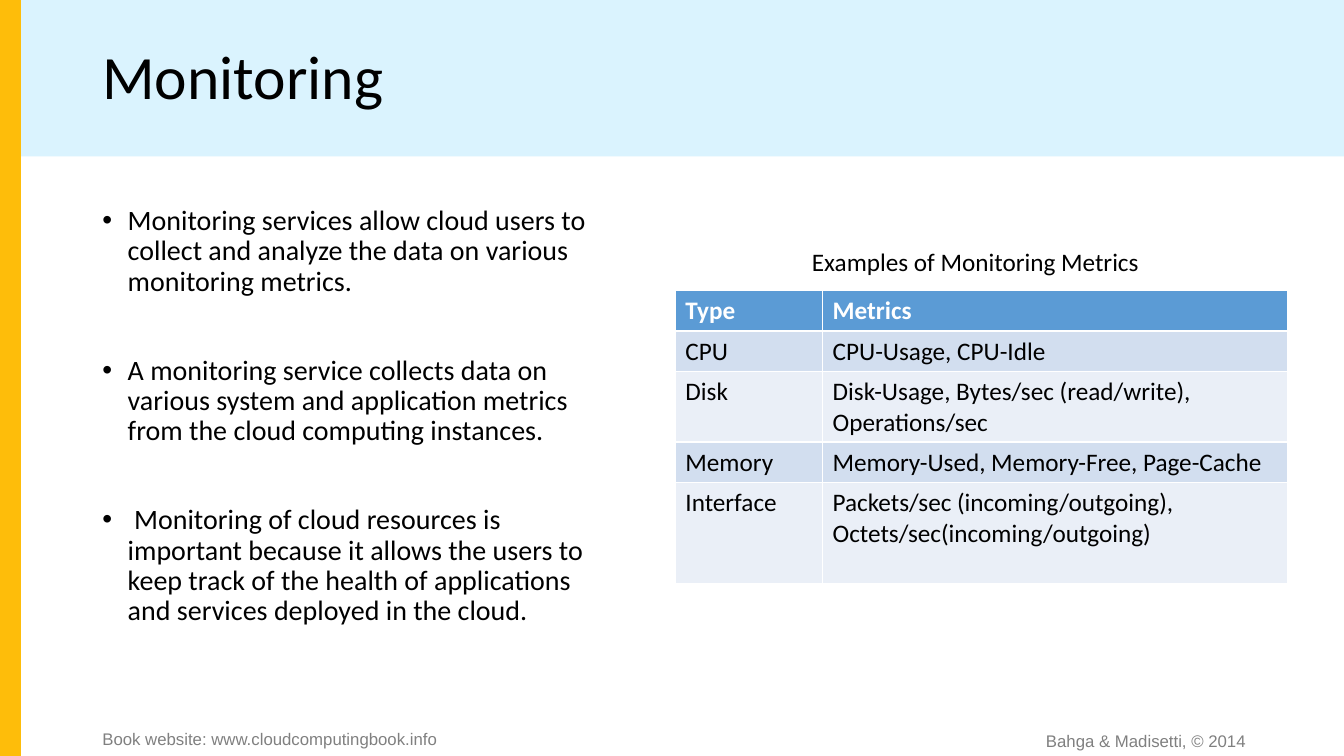
"""Build the Monitoring slide: bullets on the left, a table of metrics on the right."""
from lxml import etree
from pptx import Presentation
from pptx.dml.color import RGBColor
from pptx.enum import shapes, text
from pptx.oxml import ns
from pptx.util import Cm, Pt

BLACK = RGBColor(0x00, 0x00, 0x00)
WHITE = RGBColor(0xFF, 0xFF, 0xFF)
GREY = RGBColor(0x80, 0x80, 0x80)
SKY = RGBColor(0xDA, 0xF3, 0xFE)
GOLD = RGBColor(0xFE, 0xBD, 0x0A)
BLUE = RGBColor(0x5B, 0x9B, 0xD5)
BANDS = [RGBColor(0xEA, 0xEF, 0xF7), RGBColor(0xD2, 0xDE, 0xEF)]

POINTS = [
    "Monitoring services allow cloud users to collect and analyze the data on various monitoring metrics.",
    "A monitoring service collects data on various system and application metrics from the cloud computing instances.",
    " Monitoring of cloud resources is important because it allows the users to keep track of the health of applications and services deployed in the cloud.",
]
ROWS = [
    (1.02, "Type", ["Metrics"]),
    (1.02, "CPU", ["CPU-Usage, CPU-Idle"]),
    (1.78, "Disk", ["Disk-Usage, Bytes/sec (read/write), Operations/sec"]),
    (1.02, "Memory", ["Memory-Used, Memory-Free, Page-Cache"]),
    (2.55, "Interface", ["Packets/sec (incoming/outgoing),", "Octets/sec(incoming/outgoing)"]),
]

deck = Presentation()
deck.slide_width, deck.slide_height = Cm(33.87), Cm(19.05)
slide = deck.slides.add_slide(deck.slide_layouts[6])


def write(frame, lines, size, color=BLACK, font="Calibri", bold=False):
    for i, line in enumerate(lines):
        para = frame.paragraphs[0] if i == 0 else frame.add_paragraph()
        run = para.add_run()
        run.text = line
        run.font.size, run.font.name, run.font.bold = Pt(size), font, bold
        run.font.color.rgb = color


def add_box(left, top, width, height, wrap=True):
    frame = slide.shapes.add_textbox(Cm(left), Cm(top), Cm(width), Cm(height)).text_frame
    frame.word_wrap = wrap
    return frame


for left, width, height, color in [(0, 33.87, 3.94, SKY), (-0.03, 0.56, 19.05, GOLD)]:
    bar = slide.shapes.add_shape(shapes.MSO_SHAPE.RECTANGLE, Cm(left), 0, Cm(width), Cm(height))
    bar.shadow.inherit = False
    bar.fill.solid()
    bar.fill.fore_color.rgb = color
    bar.line.fill.background()

title = add_box(2.33, 0.51, 29.21, 3)
title.vertical_anchor = text.MSO_ANCHOR.MIDDLE
write(title, ["Monitoring"], 44)
title.paragraphs[0].line_spacing = 0.9

body = add_box(2.33, 5.08, 12.88, 12.09)
write(body, POINTS, 20)
for i, para in enumerate(body.paragraphs):
    para.line_spacing = 0.9
    para.space_before = Pt(42 if i else 0)
    props = para._p.get_or_add_pPr()
    props.set("marL", str(Cm(0.64)))
    props.set("indent", str(-Cm(0.64)))
    etree.SubElement(props, ns.qn("a:buFont")).set("typeface", "Arial")
    etree.SubElement(props, ns.qn("a:buChar")).set("char", "•")

write(add_box(26.11, 18.29, 6.32, 0.76), ["Bahga & Madisetti, © 2014"], 12, GREY, "Arial")
write(add_box(2.33, 18.24, 9.8, 0.76), ["Book website: www.cloudcomputingbook.info"], 12, GREY, "Arial")
write(add_box(20.07, 6.07, 8.99, 1.02, False), [" Examples of Monitoring Metrics"], 18)

total = sum(row[0] for row in ROWS)
table = slide.shapes.add_table(len(ROWS), 2, Cm(17.02), Cm(7.32), Cm(15.42), Cm(total)).table
table.columns[0].width, table.columns[1].width = Cm(3.71), Cm(11.71)
for i, (height, kind, lines) in enumerate(ROWS):
    table.rows[i].height = Cm(height)
    for cell, words in zip(table.rows[i].cells, ([kind], lines)):
        cell.fill.solid()
        cell.fill.fore_color.rgb = BANDS[i % 2] if i else BLUE
        write(cell.text_frame, words, 18, BLACK if i else WHITE, bold=i == 0)

deck.save("out.pptx")
